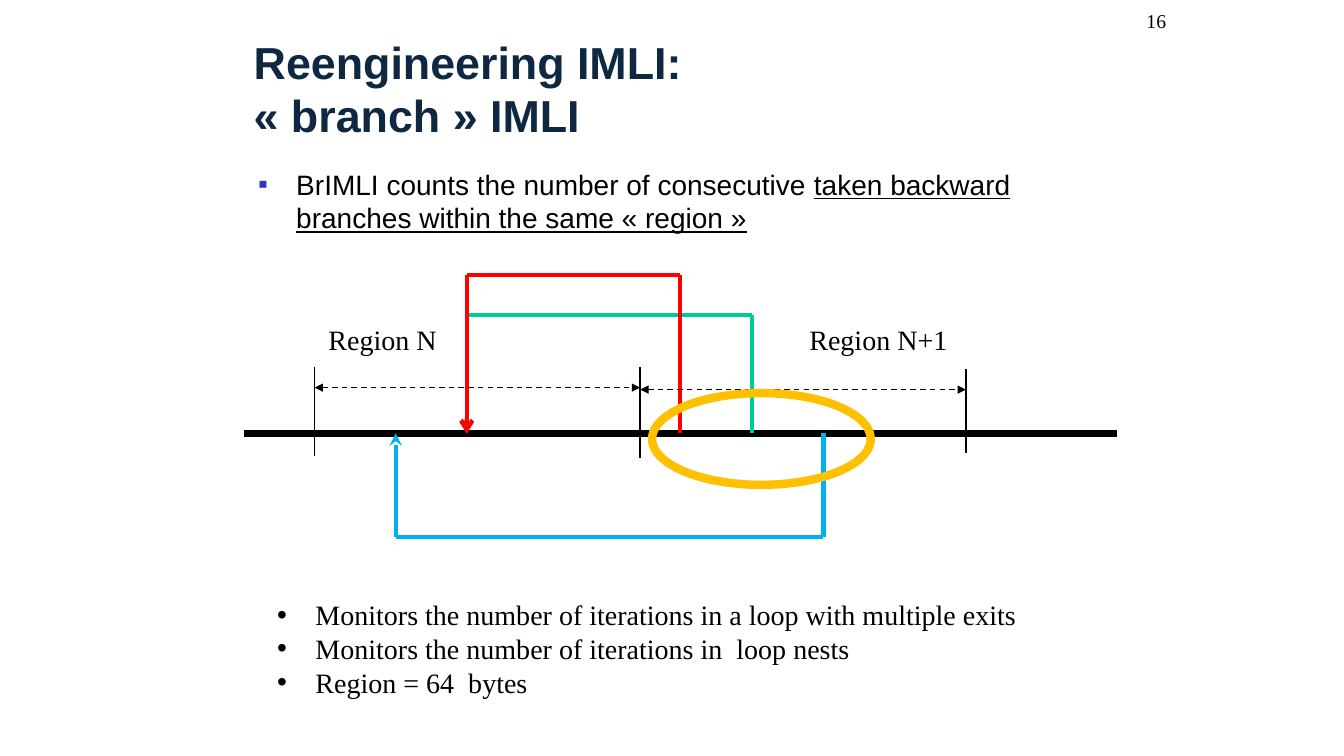
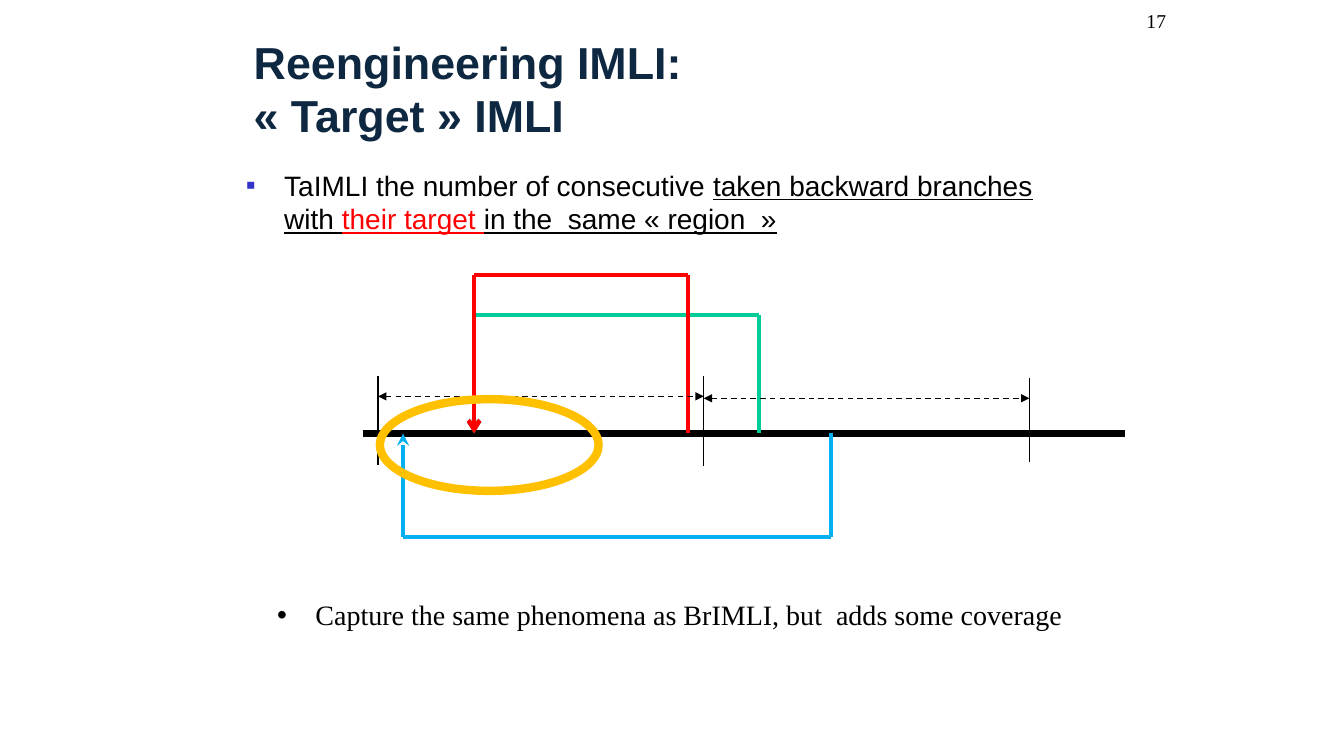
from dataclasses import dataclass

from lxml.etree import SubElement
from pptx import Presentation
from pptx.dml.color import RGBColor
from pptx.enum.dml import MSO_LINE_DASH_STYLE as DashStyle
from pptx.enum.shapes import MSO_CONNECTOR_TYPE as ConnectorType, MSO_SHAPE as ShapeType
from pptx.enum.text import MSO_ANCHOR as Anchor, MSO_AUTO_SIZE as AutoSize, PP_ALIGN as Align
from pptx.oxml.ns import qn
from pptx.util import Pt

SANS = "Arial"
SERIF = "Times New Roman"
BLACK = "000000"
NAVY = "0E2841"
INDIGO = "3333CC"
RED = "FF0000"
GREEN = "00CC99"
BLUE = "00B0F0"
AMBER = "FFC000"

AXIS_Y = 309.6
REGION_WIDTH = 232.6
REGION_STEP_DOWN = 1.4
LIST_INDENT = 27.3


@dataclass(frozen=True)
class Box:
    left: float
    top: float
    width: float
    height: float


@dataclass(frozen=True)
class Span:
    text: str
    color: str = BLACK
    underline: bool = False


@dataclass(frozen=True)
class ListStyle:
    font: str
    bullet: str
    bullet_color: str
    space_before: float = 0


@dataclass(frozen=True)
class Loop:
    color: str
    target: float
    branch: float
    level: float
    head: str


@dataclass(frozen=True)
class Content:
    number: str
    title: tuple[str, str]
    definition: list[Span]
    definition_box: Box
    remarks: list[str]
    remarks_height: float
    axis: tuple[float, float]
    loop_shift: float
    region_left: float
    region_top: float
    labels: list[tuple[str, Box]]
    highlight: tuple[float, float]


DEFINITION_STYLE = ListStyle(SANS, "▪", INDIGO, 4)
REMARK_STYLE = ListStyle(SERIF, "•", BLACK)

LOOPS = [
    Loop(GREEN, 333.4, 537.1, 224.9, "arrow"),
    Loop(RED, 333.4, 486, 196.4, "arrow"),
    Loop(BLUE, 282.7, 588.2, 383.6, "stealth"),
]

CONTENTS = [
    Content(
        number="16",
        title=("Reengineering IMLI:", "« branch » IMLI"),
        definition=[
            Span("BrIMLI counts the number of consecutive "),
            Span("taken backward branches within the same « region »", underline=True),
        ],
        definition_box=Box(177.1, 115.9, 594.7, 57.6),
        remarks=[
            "Monitors the number of iterations in a loop with multiple exits",
            "Monitors the number of iterations in  loop nests",
            "Region = 64  bytes",
        ],
        remarks_height=79.2,
        axis=(174, 798),
        loop_shift=0,
        region_left=224.7,
        region_top=262.3,
        labels=[
            ("Region N", Box(227.5, 226.8, 92.2, 31.7)),
            ("Region N+1", Box(571, 226.8, 113.8, 31.7)),
        ],
        highlight=(465.8, 280.8),
    ),
    Content(
        number="17",
        title=("Reengineering IMLI:", "« Target » IMLI"),
        definition=[
            Span("TaIMLI the number of consecutive "),
            Span("taken backward branches with ", underline=True),
            Span("their target ", RED, True),
            Span("in the  same « region  »", underline=True),
        ],
        definition_box=Box(168.5, 116.6, 594.7, 57.6),
        remarks=["Capture the same phenomena as BrIMLI, but  adds some coverage"],
        remarks_height=31.7,
        axis=(259, 803.4),
        loop_shift=5.2,
        region_left=270.1,
        region_top=268.5,
        labels=[],
        highlight=(271.4, 285.1),
    ),
]


def rgb(color: str) -> RGBColor:
    return RGBColor.from_string(color)


def place(shape, box: Box) -> None:
    shape.left, shape.top = Pt(box.left), Pt(box.top)
    shape.width, shape.height = Pt(box.width), Pt(box.height)


def add_run(paragraph, span: Span, font: str, size: float, bold: bool = False) -> None:
    run = paragraph.add_run()
    run.text = span.text
    run.font.name = font
    run.font.size = Pt(size)
    run.font.bold = bold
    run.font.color.rgb = rgb(span.color)
    if span.underline:
        run.font.underline = True


def add_bullet(paragraph, style: ListStyle) -> None:
    properties = paragraph._p.get_or_add_pPr()
    properties.set("marL", str(Pt(LIST_INDENT)))
    properties.set("indent", str(-Pt(LIST_INDENT)))
    SubElement(SubElement(properties, qn("a:buClr")), qn("a:srgbClr"), val=style.bullet_color)
    SubElement(properties, qn("a:buFont"), typeface=SANS)
    SubElement(properties, qn("a:buChar"), char=style.bullet)


def fill_title(shape, lines: tuple[str, str]) -> None:
    place(shape, Box(174, 18, 624, 90))
    frame = shape.text_frame
    frame.auto_size = AutoSize.NONE
    frame.vertical_anchor = Anchor.MIDDLE
    paragraph = frame.paragraphs[0]
    paragraph.alignment = Align.LEFT
    for index, line in enumerate(lines):
        if index:
            paragraph.add_line_break()
        add_run(paragraph, Span(line, NAVY), SANS, 32, True)


def fill_list(shape, box: Box, items: list[list[Span]], style: ListStyle) -> None:
    place(shape, box)
    frame = shape.text_frame
    frame.auto_size = AutoSize.NONE
    frame.vertical_anchor = Anchor.TOP
    for index, spans in enumerate(items):
        paragraph = frame.add_paragraph() if index else frame.paragraphs[0]
        add_bullet(paragraph, style)
        paragraph.space_before = Pt(style.space_before)
        for span in spans:
            add_run(paragraph, span, style.font, 20)


def add_text(slide, text: str, box: Box, size: float, wrap: bool = False,
             align: Align = Align.LEFT, anchor: Anchor = Anchor.TOP) -> None:
    shape = slide.shapes.add_textbox(Pt(box.left), Pt(box.top), Pt(box.width), Pt(box.height))
    frame = shape.text_frame
    frame.word_wrap = wrap
    frame.vertical_anchor = anchor
    paragraph = frame.paragraphs[0]
    paragraph.alignment = align
    add_run(paragraph, Span(text), SERIF, size)


def add_line(slide, start: tuple[float, float], end: tuple[float, float], color: str,
             width: float, head: str = "", tail: str = "", dashed: bool = False) -> None:
    connector = slide.shapes.add_connector(
        ConnectorType.STRAIGHT, Pt(start[0]), Pt(start[1]), Pt(end[0]), Pt(end[1]))
    line = connector.line
    line.color.rgb = rgb(color)
    line.width = Pt(width)
    if dashed:
        line.dash_style = DashStyle.DASH
    for tag, kind in (("a:headEnd", head), ("a:tailEnd", tail)):
        if kind:
            SubElement(line._get_or_add_ln(), qn(tag), type=kind)
    SubElement(connector._element.spPr, qn("a:effectLst"))


def draw_loop(slide, loop: Loop, shift: float) -> None:
    target, branch = loop.target + shift, loop.branch + shift
    add_line(slide, (branch, AXIS_Y), (branch, loop.level), loop.color, 3)
    add_line(slide, (target, loop.level), (branch, loop.level), loop.color, 3)
    add_line(slide, (target, AXIS_Y), (target, loop.level), loop.color, 3, loop.head)


def draw_region(slide, left: float, top: float) -> None:
    right = left + REGION_WIDTH
    for edge, height in ((left, 63.3), (right, 60)):
        add_line(slide, (edge, top), (edge, top + height), BLACK, 1)
    add_line(slide, (left, top + 14.6), (right, top + 14.6), BLACK, 1,
             "triangle", "triangle", True)


def draw_highlight(slide, left: float, top: float) -> None:
    ellipse = slide.shapes.add_shape(ShapeType.OVAL, Pt(left), Pt(top), Pt(156.2), Pt(65.5))
    ellipse.shadow.inherit = False
    ellipse.fill.background()
    ellipse.line.color.rgb = rgb(AMBER)
    ellipse.line.width = Pt(6)


def draw_diagram(slide, content: Content) -> None:
    start, end = content.axis
    add_line(slide, (start, AXIS_Y), (end, AXIS_Y), BLACK, 4.5)
    for loop in LOOPS:
        draw_loop(slide, loop, content.loop_shift)
    for index in range(2):
        draw_region(slide, content.region_left + index * REGION_WIDTH,
                    content.region_top + index * REGION_STEP_DOWN)
    for text, box in content.labels:
        add_text(slide, text, box, 20)
    draw_highlight(slide, *content.highlight)


def build_slide(presentation, content: Content) -> None:
    slide = presentation.slides.add_slide(presentation.slide_layouts.get_by_name("Two Content"))
    title, definition, remarks = slide.placeholders
    fill_title(title, content.title)
    fill_list(definition, content.definition_box, [content.definition], DEFINITION_STYLE)
    fill_list(remarks, Box(190.8, 423.4, 589.7, content.remarks_height),
              [[Span(text)] for text in content.remarks], REMARK_STYLE)
    add_text(slide, content.number, Box(798, 0, 42, 30), 14, True, Align.RIGHT, Anchor.MIDDLE)
    draw_diagram(slide, content)


def main() -> None:
    presentation = Presentation()
    presentation.slide_width, presentation.slide_height = Pt(960), Pt(540)
    for content in CONTENTS:
        build_slide(presentation, content)
    presentation.save("out.pptx")


if __name__ == "__main__":
    main()
